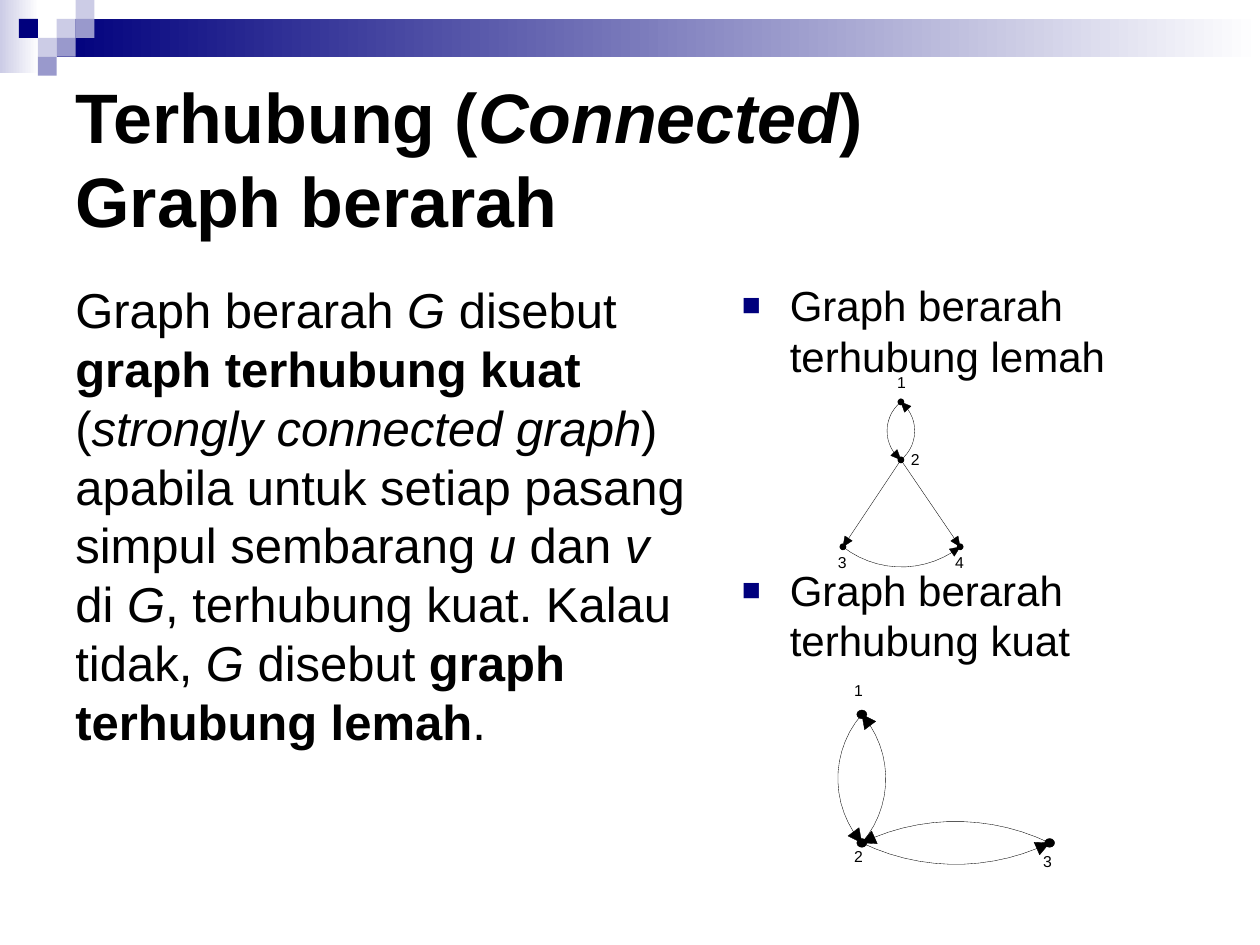
import math

import lxml.etree
import pptx
import pptx.dml.color
import pptx.enum.shapes
import pptx.enum.text
import pptx.oxml.ns
import pptx.util

PX = 9144  # 100 px to the inch
FONT = "Arial"
BLACK = pptx.dml.color.RGBColor(0x00, 0x00, 0x00)
WHITE = pptx.dml.color.RGBColor(0xFF, 0xFF, 0xFF)
NAVY = pptx.dml.color.RGBColor(0x00, 0x00, 0x7D)
LAVENDER = pptx.dml.color.RGBColor(0xCC, 0xCC, 0xE6)
PERIWINKLE = pptx.dml.color.RGBColor(0x99, 0x99, 0xCC)
BOLD = {"bold": True}
ITALIC = {"italic": True}

SQUARE = 15
MOSAIC = [
    (3, 1, LAVENDER), (4, 0, LAVENDER), (4, 1, PERIWINKLE), (2, 2, LAVENDER),
    (1, 1, NAVY), (3, 2, PERIWINKLE), (2, 3, PERIWINKLE),
]
TITLE = [("Terhubung (", {}), ("Connected", ITALIC), (")", {}), ("\n", {}),
         ("Graph berarah", {})]
DEFINITION = [
    ("Graph berarah ", {}), ("G", ITALIC), (" disebut ", {}),
    ("graph terhubung kuat", BOLD), (" (", {}),
    ("strongly connected graph", ITALIC),
    (") apabila untuk setiap pasang simpul sembarang ", {}), ("u", ITALIC),
    (" dan ", {}), ("v", ITALIC), (" di ", {}), ("G", ITALIC),
    (", terhubung kuat. Kalau tidak, ", {}), ("G", ITALIC), (" disebut ", {}),
    ("graph terhubung lemah", BOLD), (".", {}),
]
# Nodes: name -> (centre, label corner). Edges: (from, to, bulge of the arc).
WEAK_GRAPH = {
    "nodes": {"1": ((715, 319), (712, 296)), "2": ((715, 365), (723, 357)),
              "3": ((669, 434), (665, 439)), "4": ((762, 434), (758, 439))},
    "edges": [("1", "2", 11), ("2", "1", 11), ("2", "4", 0), ("3", "4", 16),
              ("2", "3", 0)],
    "node_size": (5, 5), "head_size": (8, 7),
}
STRONG_GRAPH = {
    "nodes": {"1": ((684, 567), (678, 540)), "2": ((684, 669), (678, 672)),
              "3": ((833, 669), (828, 676))},
    "edges": [("1", "2", 19), ("2", "1", 19), ("2", "3", 17), ("3", "2", 17)],
    "node_size": (8, 7), "head_size": (11, 11),
}


def emu(*lengths):
    return [round(length * PX) for length in lengths]


def assign(target, values):
    for name, value in values.items():
        setattr(target, name, value)


def arc_points(start, end, bulge, trim, steps=12):
    """Points of a circular arc (or straight line) that stops `trim` px early."""
    (x0, y0), (x1, y1) = start, end
    chord = math.dist(start, end)
    ux, uy = (x1 - x0) / chord, (y1 - y0) / chord
    if not bulge:
        return [start, (x1 - ux * trim, y1 - uy * trim)]
    radius = chord ** 2 / (8 * bulge) + bulge / 2
    half = 2 * math.atan(2 * bulge / chord)
    sweep = 2 * half - trim / radius
    points = []
    for step in range(steps + 1):
        angle = sweep * step / steps - half
        along = chord / 2 + radius * math.sin(angle)
        off = radius * (math.cos(angle) - 1) + bulge
        points.append((x0 + ux * along - uy * off, y0 + uy * along + ux * off))
    return points


class GraphSlide:
    line_width = pptx.util.Pt(0.2)

    def __init__(self, slide):
        self.slide = slide
        self.shapes = slide.shapes

    def paint(self, shape, color):
        shape.shadow.inherit = False
        if color is None:
            shape.fill.background()
        else:
            shape.fill.solid()
            shape.fill.fore_color.rgb = color

    def outline(self, shape):
        shape.line.color.rgb = BLACK
        shape.line.width = self.line_width

    def block(self, box, color, fade=False):
        rect = self.shapes.add_shape(
            pptx.enum.shapes.MSO_SHAPE.RECTANGLE, *emu(*box))
        self.paint(rect, color)
        rect.line.fill.background()
        if fade:
            rect.fill.gradient()
            rect.fill.gradient_angle = 0
            for stop, shade in zip(rect.fill.gradient_stops, (color, WHITE)):
                stop.color.rgb = shade

    def add_runs(self, paragraph, pieces, size, **style):
        for text, emphasis in pieces:
            if text == "\n":
                paragraph.add_line_break()
                continue
            run = paragraph.add_run()
            run.text = text
            assign(run.font, {"name": FONT, "size": pptx.util.Pt(size),
                              **style, **emphasis})
            run.font.color.rgb = BLACK

    def title(self, box, pieces, size):
        title = self.shapes.title
        assign(title, dict(zip(("left", "top", "width", "height"), emu(*box))))
        title.text_frame.vertical_anchor = pptx.enum.text.MSO_ANCHOR.MIDDLE
        paragraph = title.text_frame.paragraphs[0]
        paragraph.alignment = pptx.enum.text.PP_ALIGN.LEFT
        self.add_runs(paragraph, pieces, size, bold=True)

    def text(self, box, paragraphs, size, bulleted=False):
        """Each paragraph is its pieces and the points of space before it."""
        frame = self.shapes.add_textbox(*emu(*box)).text_frame
        frame.word_wrap = True
        for index, (pieces, space) in enumerate(paragraphs):
            paragraph = frame.add_paragraph() if index else frame.paragraphs[0]
            paragraph.space_before = pptx.util.Pt(space)
            self.add_runs(paragraph, pieces, size)
            if bulleted:
                self.bullet(paragraph)

    def bullet(self, paragraph):
        properties = paragraph._p.get_or_add_pPr()
        indent, = emu(38)
        properties.set("marL", str(indent))
        properties.set("indent", str(-indent))
        qn = pptx.oxml.ns.qn
        color = lxml.etree.SubElement(properties, qn("a:buClr"))
        lxml.etree.SubElement(color, qn("a:srgbClr"), val=str(NAVY))
        lxml.etree.SubElement(properties, qn("a:buSzPct"), val="75000")
        lxml.etree.SubElement(properties, qn("a:buFont"), typeface=FONT)
        lxml.etree.SubElement(properties, qn("a:buChar"), char="■")

    def label(self, corner, text):
        frame = self.shapes.add_textbox(*emu(*corner, 7, 15)).text_frame
        sides = ("left", "top", "right", "bottom")
        assign(frame, {"word_wrap": False,
                       **{f"margin_{side}": 0 for side in sides}})
        self.add_runs(frame.paragraphs[0], [(text, {})], 9)

    def node(self, center, size):
        (x, y), (width, height) = center, size
        dot = self.shapes.add_shape(
            pptx.enum.shapes.MSO_SHAPE.OVAL,
            *emu(x - width / 2, y - height / 2, width, height))
        self.paint(dot, BLACK)
        self.outline(dot)

    def polyline(self, points, color=None):
        """An open line, or a closed area when a colour is given."""
        start, *rest = [emu(*point) for point in points]
        builder = self.shapes.build_freeform(*start)
        builder.add_line_segments(rest, close=color is not None)
        shape = builder.convert_to_shape()
        self.paint(shape, color)
        self.outline(shape)

    def straight(self, start, end):
        line = self.shapes.add_connector(
            pptx.enum.shapes.MSO_CONNECTOR.STRAIGHT, *emu(*start, *end))
        self.outline(line)
        lxml.etree.SubElement(line._element.spPr,
                              pptx.oxml.ns.qn("a:effectLst"))

    def edge(self, start, end, bulge, head_size):
        length, width = head_size
        points = arc_points(start, end, bulge, length)
        if bulge:
            self.polyline(points)
        else:
            self.straight(*points)
        (bx, by), (tx, ty) = points[-1], end
        reach = math.dist(points[-1], end)
        sx, sy = (by - ty) / reach * width / 2, (tx - bx) / reach * width / 2
        self.polyline([(bx + sx, by + sy), end, (bx - sx, by - sy)], BLACK)

    def graph(self, nodes, edges, node_size, head_size):
        for center, _ in nodes.values():
            self.node(center, node_size)
        for tail, head, bulge in edges:
            self.edge(nodes[tail][0], nodes[head][0], bulge, head_size)
        for name, (_, corner) in nodes.items():
            self.label(corner, name)


def main():
    deck = pptx.Presentation()
    deck.slide_width, deck.slide_height = emu(1000, 750)
    page = GraphSlide(deck.slides.add_slide(deck.slide_layouts[5]))
    page.block((0, 0, 31, 58), LAVENDER, fade=True)
    page.block((45, 15, 955, 30), NAVY, fade=True)
    for column, row, color in MOSAIC:
        page.block((column * SQUARE, row * SQUARE, SQUARE, SQUARE), color)
    page.title((50, 50, 900, 150), TITLE, 40)
    page.text((50, 217, 505, 425), [(DEFINITION, 5.6)], 28)
    page.text((579, 217, 371, 425),
              [([("Graph berarah terhubung lemah", {})], 4.8),
               ([("Graph berarah terhubung kuat", {})], 105)],
              24, bulleted=True)
    page.graph(**WEAK_GRAPH)
    page.graph(**STRONG_GRAPH)
    deck.save("out.pptx")


if __name__ == "__main__":
    main()
